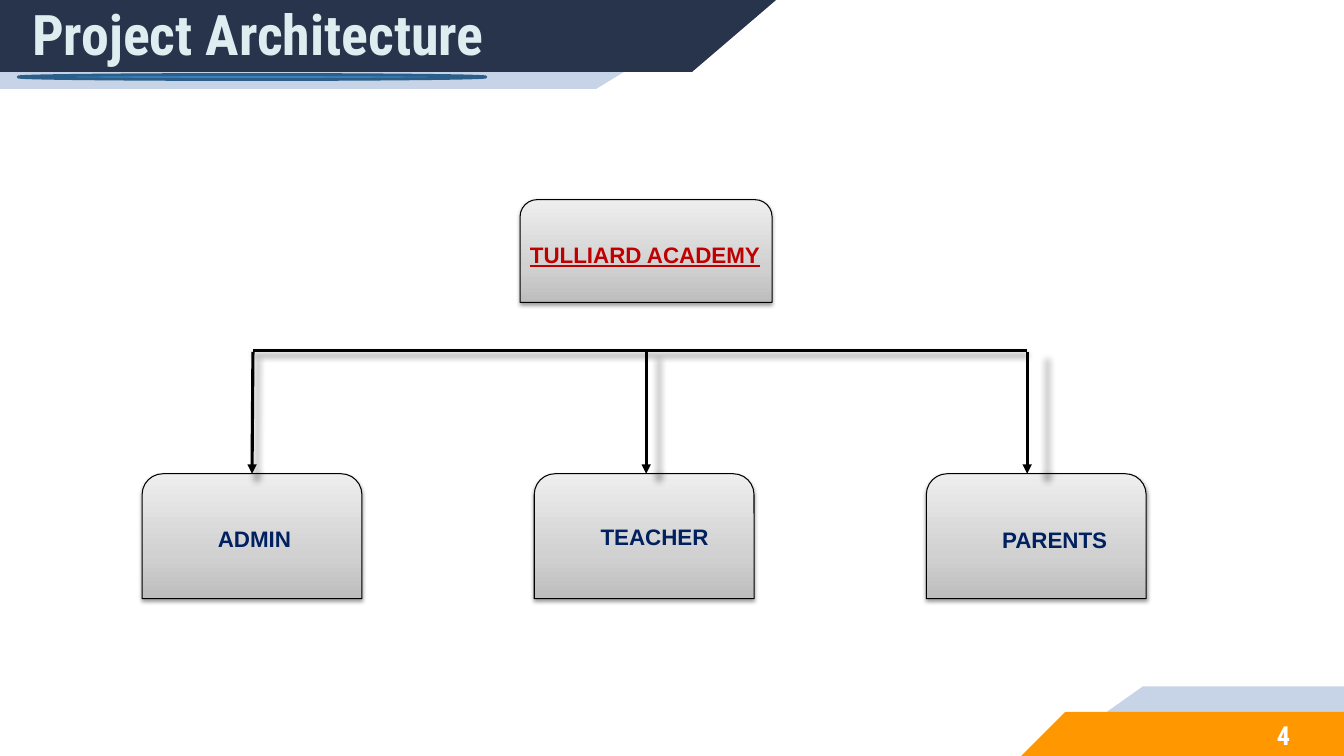
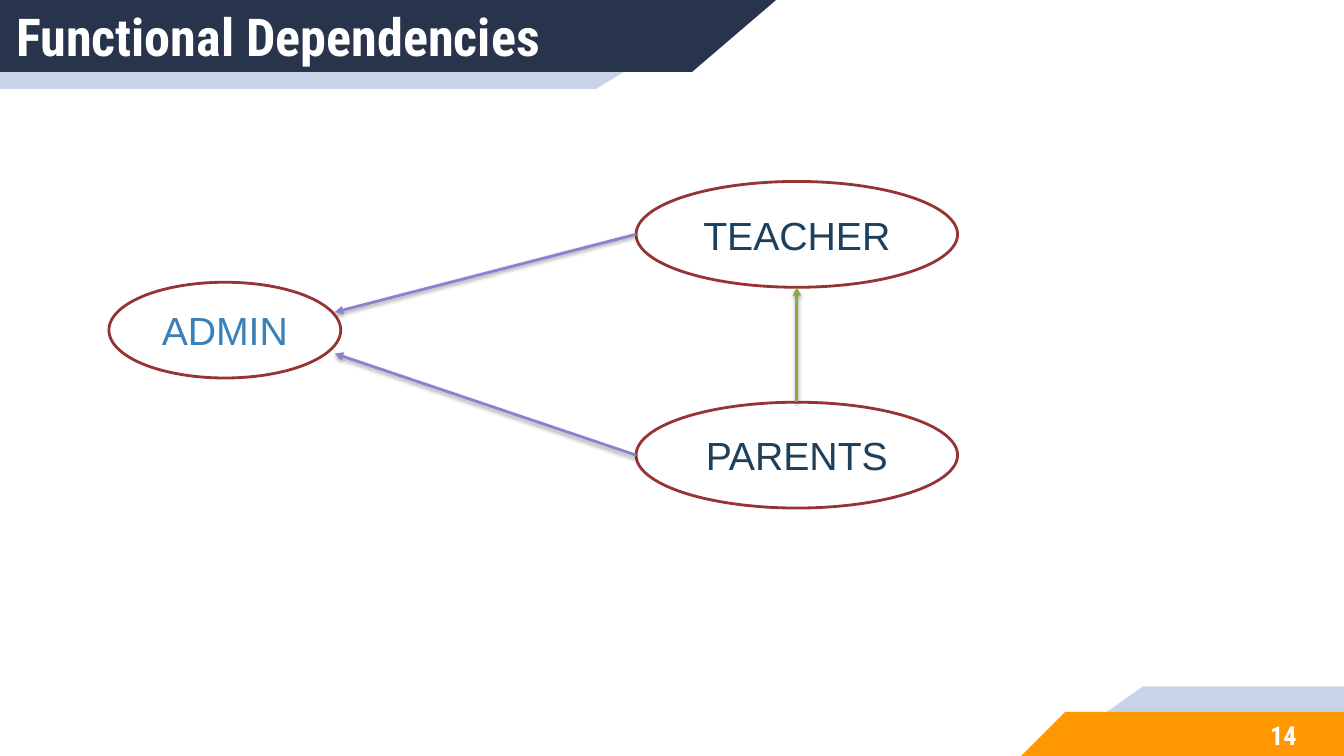
from copy import deepcopy

from lxml import etree
from pptx import Presentation
from pptx.dml.color import RGBColor
from pptx.enum import shapes, text
from pptx.oxml.ns import qn
from pptx.util import Pt

WIDTH, HEIGHT = 960, 540
NAVY, PALE, ORANGE, WHITE, BLACK = "28344B", "C7D3E6", "FF9800", "FFFFFF", "000000"
BLUE, DEEP_BLUE, RED = "3A81BA", "1D405D", "963334"
HEAD_FONT, BODY_FONT = "Roboto Condensed", "Arial"

GREY_STOPS = [(0, "BDBDBD"), (0.35, "D1D1D1"), (1, "EEEEEE")]
SOFT = dict(alpha=38, blur=3.1, dist=1.6, angle=90)
BELOW = dict(alpha=40, blur=4, dist=3, angle=90)
GLOW = dict(alpha=40, blur=5, dist=0, angle=0, scale=102)

HEADING = dict(name=HEAD_FONT, bold=True)
LABEL = dict(name=BODY_FONT, size=16, bold=True)
NODE = dict(name=BODY_FONT, size=28)


def rgb(value):
    return RGBColor.from_string(value)


def set_shadow(shape, alpha, blur, dist, angle, scale=100):
    effects = etree.SubElement(shape._element.spPr, qn("a:effectLst"))
    outer = etree.SubElement(effects, qn("a:outerShdw"), {
        "blurRad": str(int(Pt(blur))), "dist": str(int(Pt(dist))),
        "dir": str(angle * 60000), "sx": str(scale * 1000),
        "sy": str(scale * 1000), "algn": "ctr", "rotWithShape": "0"})
    color = etree.SubElement(outer, qn("a:srgbClr"), val=BLACK)
    etree.SubElement(color, qn("a:alpha"), val=str(alpha * 1000))


def set_line(shape, color, width):
    shape.line.color.rgb = rgb(color)
    shape.line.width = Pt(width)


def write(shape, words, font, color, align=text.PP_ALIGN.LEFT,
          anchor=text.MSO_ANCHOR.TOP, margins=(7.2, 3.6, 7.2, 3.6)):
    tf = shape.text_frame
    tf.word_wrap = True
    tf.vertical_anchor = anchor
    for side, margin in zip(("left", "top", "right", "bottom"), margins):
        setattr(tf, "margin_" + side, Pt(margin))
    p = tf.paragraphs[0]
    p.alignment = align
    r = p.add_run()
    r.text = words
    for name, value in font.items():
        setattr(r.font, name, Pt(value) if name == "size" else value)
    r.font.color.rgb = rgb(color)


def add_text(s, box, words, font, color, **layout):
    write(s.shapes.add_textbox(*map(Pt, box)), words, font, color, **layout)


def add_band(s, color, corners):
    points = [(Pt(x), Pt(y)) for x, y in corners]
    builder = s.shapes.build_freeform(*points[0])
    builder.add_line_segments(points[1:], close=True)
    band = builder.convert_to_shape()
    band.shadow.inherit = False
    band.fill.solid()
    band.fill.fore_color.rgb = rgb(color)
    band.line.fill.background()


def add_line(s, start, end, color, width, shadow, arrow=True):
    line = s.shapes.add_connector(shapes.MSO_CONNECTOR.STRAIGHT,
                                  *map(Pt, (*start, *end)))
    set_line(line, color, width)
    if arrow:
        ln = line._element.spPr.find(qn("a:ln"))
        etree.SubElement(ln, qn("a:tailEnd"), type="triangle")
    set_shadow(line, **shadow)


def add_ellipse(s, box, fill, line, flat=2):
    oval = s.shapes.add_shape(shapes.MSO_SHAPE.OVAL, *map(Pt, box))
    oval.shadow.inherit = False
    oval.fill.solid()
    oval.fill.fore_color.rgb = rgb(fill)
    set_line(oval, line, flat)
    return oval


def add_card(s, box, words, color, offset, label_width, **extra):
    """Grey tab-topped box with its label at an offset from its corner."""
    card = s.shapes.add_shape(shapes.MSO_SHAPE.ROUND_2_SAME_RECTANGLE,
                              *map(Pt, box))
    card.fill.gradient()
    card.fill.gradient_angle = 90
    stops = card._element.spPr.find(".//" + qn("a:gsLst"))
    stops.insert(1, deepcopy(stops[0]))
    for stop, (position, shade) in zip(card.fill.gradient_stops, GREY_STOPS):
        stop.position = position
        stop.color.rgb = rgb(shade)
    set_line(card, BLACK, 0.75)
    set_shadow(card, **SOFT)
    label_box = (box[0] + offset[0], box[1] + offset[1], label_width, 26.6)
    add_text(s, label_box, words, {**LABEL, **extra}, color)


def add_frame(prs, title, title_box, size, color, number):
    """Blank slide with the corner bands, title and slide number."""
    s = prs.slides.add_slide(prs.slide_layouts[6])
    for shade, long_edge, short_edge, depth in ((PALE, 530, 426, 63.4),
                                                (NAVY, 554.4, 494.5, 51.3)):
        add_band(s, shade, [(0, 0), (long_edge, 0), (short_edge, depth), (0, depth)])
    for shade, short_edge, long_edge, top in ((PALE, 816.5, 746, 490.2),
                                              (ORANGE, 761, 729.5, 508.4)):
        add_band(s, shade, [(short_edge, top), (WIDTH, top),
                            (WIDTH, HEIGHT), (long_edge, HEIGHT)])
    middle = text.MSO_ANCHOR.MIDDLE
    add_text(s, title_box, title, {**HEADING, "size": size}, color,
             anchor=middle, margins=(8.6, 0, 0, 0))
    add_text(s, (885, 509, 63.4, 32.4), number, {**HEADING, "size": 18.7}, WHITE,
             align=text.PP_ALIGN.CENTER, anchor=middle, margins=(7.2,) * 4)
    return s


def add_hierarchy(s, box):
    """Root card over a rail with an arrow down to each child card."""
    left, top, width, _ = box
    add_card(s, (left + 270, top, 180, 73.4), "TULLIARD ACADEMY", "C00000",
             (0, 26), 249, underline=True)
    card_width, card_top, rail = 157, top + 195.8, top + 108
    step = (width - card_width) / 2
    children = [("ADMIN", (47, 33), 79.2, 78.5),
                ("TEACHER", (40.3, 31.5), 104.4, 80),
                ("PARENTS", (47, 34), 99.4, 72)]
    for i, (words, offset, label_width, _) in enumerate(children):
        add_card(s, (left + i * step, card_top, card_width, 89.3), words,
                 "002060", offset, label_width)
    tips = [left + i * step + child[3] for i, child in enumerate(children)]
    add_line(s, (tips[0] + 0.7, rail), (tips[-1], rail), BLACK, 2.25, BELOW,
             arrow=False)
    for i, tip in enumerate(tips):
        start = tip + 0.7 if i == 0 else tip
        add_line(s, (start, rail + 0.7), (tip, card_top), BLACK, 2.25, GLOW)


def add_dependencies(s, box):
    """Admin node on the left, teacher above parents on the right."""
    left, top, width, height = box
    node_width, node_height = 229.7, 75.6
    node_left = left + width - node_width
    parents_top = top + height - node_height
    nodes = [("ADMIN", (left, top + 72, 165.6, 68.4), BLUE),
             ("TEACHER", (node_left, top, node_width, node_height), DEEP_BLUE),
             ("PARENTS", (node_left, parents_top, node_width, node_height), DEEP_BLUE)]
    for words, place, color in nodes:
        write(add_ellipse(s, place, WHITE, RED), words, NODE, color,
              align=text.PP_ALIGN.CENTER, anchor=text.MSO_ANCHOR.MIDDLE)
    for node_top, target in ((top, 93.4), (parents_top, 123)):
        add_line(s, (node_left, node_top + node_height / 2),
                 (left + 161.3, top + target), "8B81D2", 2, SOFT)
    center = node_left + node_width / 2
    add_line(s, (center, parents_top), (center, top + node_height),
             "8BAB42", 2, SOFT)


def main():
    prs = Presentation()
    prs.slide_width, prs.slide_height = Pt(WIDTH), Pt(HEIGHT)

    s = add_frame(prs, "Project Architecture", (14.4, 1, 437.8, 46), 40,
                  "DDEDF0", "4")
    add_ellipse(s, (13, 53.2, 334, 3.6), BLUE, "2B5F8A")
    add_hierarchy(s, (101.5, 142.6, 717.2, 285.1))

    s = add_frame(prs, "Functional Dependencies", (2.9, 2.9, 527, 45.4), 37.3,
                  WHITE, "14")
    add_dependencies(s, (77.8, 129.6, 606.2, 233.3))

    prs.save("out.pptx")


if __name__ == "__main__":
    main()
